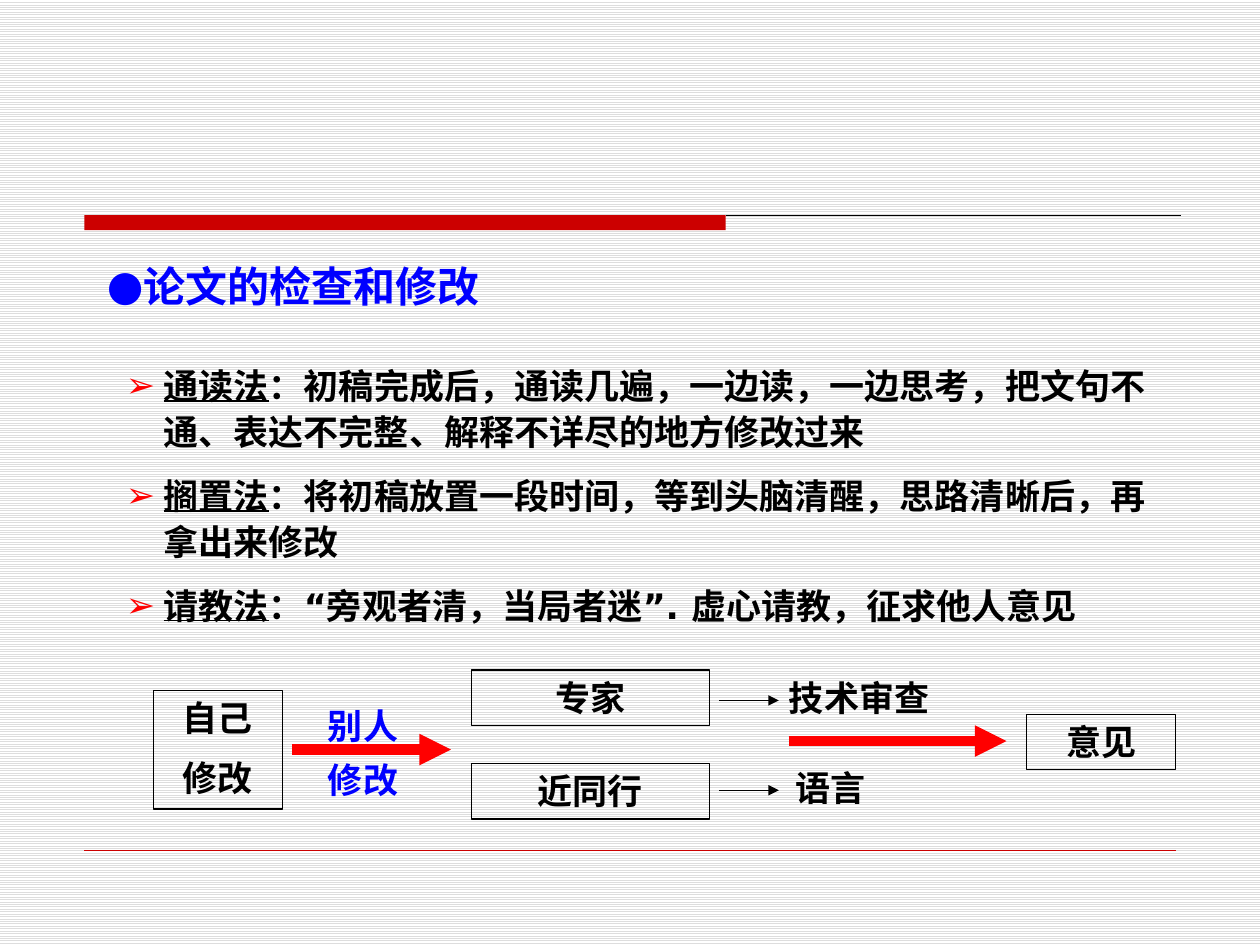
from lxml import etree
from pptx import Presentation
from pptx.dml.color import RGBColor
from pptx.enum.dml import MSO_PATTERN
from pptx.enum.lang import MSO_LANGUAGE_ID
from pptx.enum.shapes import MSO_CONNECTOR, MSO_SHAPE
from pptx.enum.text import MSO_ANCHOR, MSO_AUTO_SIZE, PP_ALIGN
from pptx.oxml.ns import qn
from pptx.util import Cm, Pt

RECTANGLE = MSO_SHAPE.RECTANGLE
STRAIGHT = MSO_CONNECTOR.STRAIGHT
LEFT, CENTER = PP_ALIGN.LEFT, PP_ALIGN.CENTER
CHINESE = MSO_LANGUAGE_ID.SIMPLIFIED_CHINESE
BLACK, RED, DARK_RED, BLUE = "000000", "FF0000", "CC0000", "0000FF"
BODY_FONT, HEADING_FONT = "DejaVu Sans", "Noto Sans CJK SC"

# Content: places are left, top, width, height in cm
HEADING = "论文的检查和修改"
METHODS = [
    ("通读法", "：初稿完成后，通读几遍，一边读，一边思考，把文句不通、表达不完整、解释不详尽的地方修改过来"),
    ("搁置法", "：将初稿放置一段时间，等到头脑清醒，思路清晰后，再拿出来修改"),
    ("请教法", "：“旁观者清，当局者迷”. 虚心请教，征求他人意见"),
]
BOXES = [
    (["自己", "修改"], (3.1, 13.92, 2.59, 2.39)),
    (["专家"], (9.5, 13.51, 4.8, 1.12)),
    (["近同行"], (9.5, 15.39, 4.8, 1.12)),
    (["意见"], (20.7, 14.4, 3, 1.12)),
]
LABELS = [
    (["别人", "修改"], (5.49, 13.82, 3.66, 2.46), BLUE, 1.3),
    (["技术审查"], (15.29, 13.51, 4.06, 1.09), BLACK, 1),
    (["语言"], (14.71, 15.32, 4.06, 1.09), BLACK, 1),
]
# Horizontal arrows: start, end, height on the slide, colour, width in points
ARROWS = [
    (5.89, 9.09, 15.11, RED, 6),
    (15.9, 20.29, 14.94, RED, 6),
    (14.5, 15.7, 14.12, BLACK, 0.75),
    (14.5, 15.7, 15.93, BLACK, 0.75),
]


def color(hex_string):
    return RGBColor.from_string(hex_string)


def add_rule(shapes, start, end, top, line_color, width, arrow=False):
    connector = shapes.add_connector(STRAIGHT, Cm(start), Cm(top), Cm(end), Cm(top))
    connector.line.color.rgb = color(line_color)
    connector.line.width = Pt(width)
    if arrow:
        etree.SubElement(connector.line._get_or_add_ln(), qn("a:tailEnd"), type="triangle")
    etree.SubElement(connector._element.spPr, qn("a:effectLst"))


def add_rectangle(shapes, place):
    shape = shapes.add_shape(RECTANGLE, *map(Cm, place))
    shape.shadow.inherit = False
    return shape


def prepare_frame(shape):
    frame = shape.text_frame
    settings = {"word_wrap": True, "auto_size": MSO_AUTO_SIZE.NONE,
                "vertical_anchor": MSO_ANCHOR.TOP}
    for name, value in settings.items():
        setattr(frame, name, value)
    return frame


def next_paragraph(frame, index):
    return frame.add_paragraph() if index else frame.paragraphs[0]


def add_bullet(paragraph, character, bullet_color, indent):
    properties = paragraph._p.get_or_add_pPr()
    properties.set("marL", str(Cm(indent)))
    properties.set("indent", str(-Cm(indent)))
    fill = etree.SubElement(properties, qn("a:buClr"))
    etree.SubElement(fill, qn("a:srgbClr"), val=bullet_color)
    etree.SubElement(properties, qn("a:buFont"), typeface=BODY_FONT)
    etree.SubElement(properties, qn("a:buChar"), char=character)


def add_run(paragraph, text, text_color=BLACK, size=20, name=BODY_FONT, underline=False):
    run = paragraph.add_run()
    run.text = text
    values = {"size": Pt(size), "name": name, "bold": True,
              "underline": underline, "language_id": CHINESE}
    for key, value in values.items():
        setattr(run.font, key, value)
    run.font.color.rgb = color(text_color)
    latin = run._r.rPr.find(qn("a:latin"))
    latin.addnext(latin.makeelement(qn("a:ea"), {"typeface": name}))


def write_lines(shape, lines, text_color=BLACK, spacing=1, gap=0):
    frame = prepare_frame(shape)
    for index, line in enumerate(lines):
        paragraph = next_paragraph(frame, index)
        paragraph.alignment = CENTER
        paragraph.line_spacing = spacing
        paragraph.space_before = Pt(gap if index else 0)
        add_run(paragraph, line, text_color)


def main():
    presentation = Presentation()
    presentation.slide_width, presentation.slide_height = Cm(25.4), Cm(19.05)
    slide = presentation.slides.add_slide(presentation.slide_layouts[5])
    shapes = slide.shapes

    # Striped background
    background = slide.background.fill
    background.patterned()
    background.pattern = MSO_PATTERN.LIGHT_HORIZONTAL
    background.fore_color.rgb = color("DDDDDD")
    background.back_color.rgb = color("FFFFFF")

    # Red band and thin rules
    band = add_rectangle(shapes, (1.7, 4.34, 12.93, 0.3))
    band.fill.solid()
    band.fill.fore_color.rgb = color(DARK_RED)
    band.line.fill.background()
    add_rule(shapes, 14.63, 23.8, 4.34, BLACK, 0.75)
    add_rule(shapes, 1.7, 23.7, 17.15, DARK_RED, 0.25)

    # Heading
    title = shapes.title
    title.left, title.top, title.width, title.height = map(Cm, (1.9, 5.13, 13.79, 1.27))
    paragraph = prepare_frame(title).paragraphs[0]
    paragraph.alignment = LEFT
    add_bullet(paragraph, "●", BLUE, 0.69)
    add_run(paragraph, HEADING, BLUE, 24, HEADING_FONT)

    # Three methods
    frame = prepare_frame(shapes.add_textbox(*map(Cm, (2.29, 7.14, 21.41, 5.77))))
    for index, (method, explanation) in enumerate(METHODS):
        paragraph = next_paragraph(frame, index)
        paragraph.line_spacing = 1.1
        paragraph.space_before = Pt(10 if index else 0)
        add_bullet(paragraph, "➢", RED, 0.76)
        add_run(paragraph, method, underline=True)
        add_run(paragraph, explanation)

    # Review flow
    for lines, place in BOXES:
        box = add_rectangle(shapes, place)
        box.fill.background()
        box.line.color.rgb = color(BLACK)
        box.line.width = Pt(0.75)
        write_lines(box, lines, gap=10)
    for lines, place, text_color, spacing in LABELS:
        write_lines(shapes.add_textbox(*map(Cm, place)), lines, text_color, spacing)
    for arrow in ARROWS:
        add_rule(shapes, *arrow, arrow=True)

    presentation.save("out.pptx")


if __name__ == "__main__":
    main()
